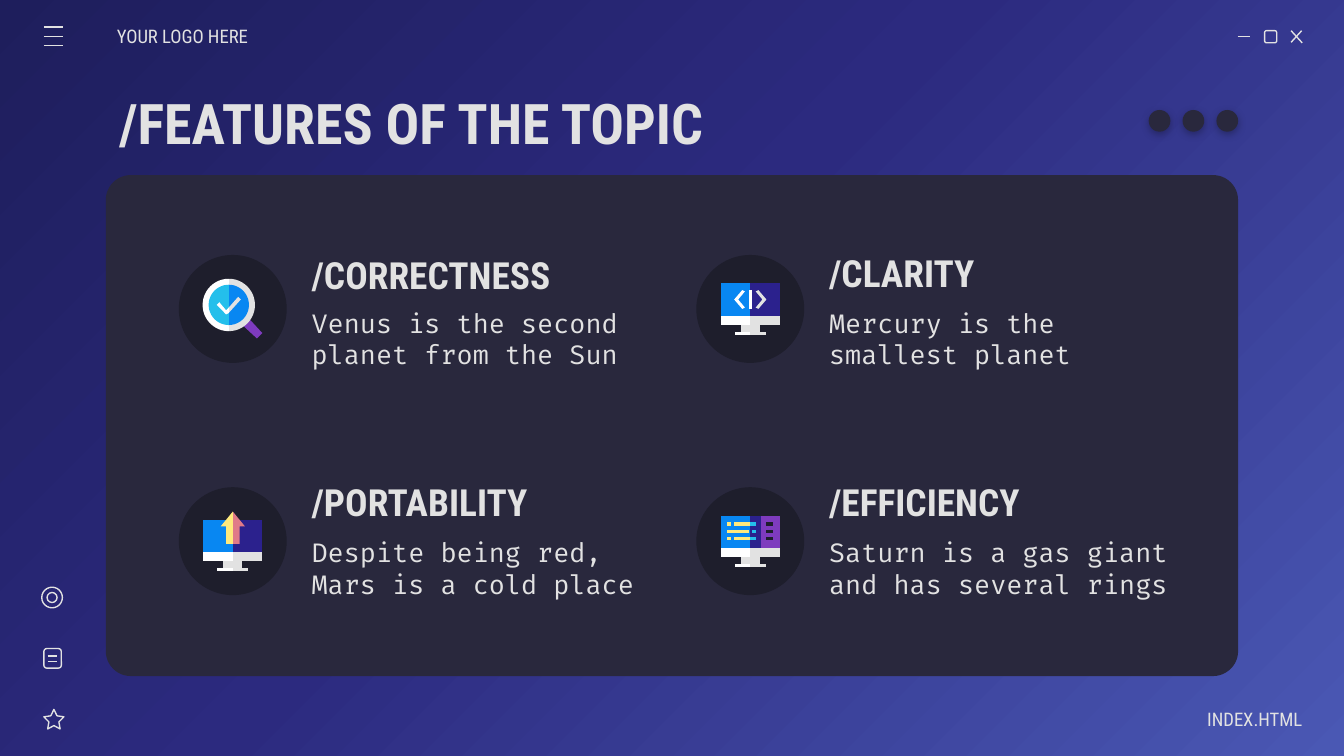
from dataclasses import dataclass
from math import cos, pi, sin

from lxml.etree import SubElement
from pptx import Presentation
from pptx.dml.color import RGBColor
from pptx.enum.shapes import MSO_CONNECTOR, MSO_SHAPE as Shp
from pptx.enum.text import MSO_ANCHOR, PP_ALIGN
from pptx.oxml.ns import qn
from pptx.util import Cm, Pt

LIGHT, WHITE, PANEL, DARK = "E2E2E2", "FFFFFF", "29283D", "1E1E2C"
BLUE, NAVY, CYAN, PURPLE = "0887F2", "2B218D", "24BFEB", "7E3BBE"
YELLOW, PINK = "FFEA7D", "E07A88"
HEAD_FONT, BODY_FONT = "Roboto Condensed", "Fira Code"
GRID = Cm(2.54) / 100  # icon grid unit
DISC = 2.04

Points = list[tuple[float, float]]


@dataclass
class Patch:
    color: str
    points: Points


@dataclass
class Feature:
    col: int
    row: int
    heading: str
    heading_top: float
    body: str
    icon: list[Patch]


def rgb(color: str) -> RGBColor:
    return RGBColor.from_string(color)


def box(x1: float, y1: float, x2: float, y2: float) -> Points:
    return [(x1, y1), (x2, y1), (x2, y2), (x1, y2)]


def mirror(points: Points) -> Points:
    return [(-x, y) for x, y in points]


def half_disc(x: float, y: float, r: float, side: int) -> Points:
    """Half of a disc: side 1 is the right half, -1 the left."""
    angles = [pi * i / 24 for i in range(25)]
    return [(x + side * r * sin(a), y - r * cos(a)) for a in angles]


def monitor(dy: float) -> list[Patch]:
    return [
        Patch(NAVY, box(0, dy - 19, 22, dy + 5)),
        Patch(BLUE, box(-22, dy - 19, 0, dy + 5)),
        Patch(LIGHT, box(-7, dy + 12, 7, dy + 18)),
        Patch(LIGHT, box(0, dy + 17, 11.5, dy + 19)),
        Patch(WHITE, box(-11.5, dy + 17, 0, dy + 19)),
        Patch(LIGHT, box(0, dy + 5, 22, dy + 12)),
        Patch(WHITE, box(-22, dy + 5, 0, dy + 12)),
    ]


def magnifier() -> list[Patch]:
    return [
        Patch(PURPLE, [(10, 5), (5, 10), (18, 22), (22, 18)]),
        Patch(LIGHT, half_disc(-3, -3, 19.5, 1)),
        Patch(WHITE, half_disc(-3, -3, 19.5, -1)),
        Patch(BLUE, half_disc(-3, -3, 15, 1)),
        Patch(CYAN, half_disc(-3, -3, 15, -1)),
        Patch(LIGHT, [(4, -9), (-3, -1), (-4, 1), (-3, 3), (6, -7)]),
        Patch(WHITE, [(-10, -5), (-12, -3), (-5, 4), (-3, 3), (-3, -1), (-5, 1)]),
    ]


def code_monitor() -> list[Patch]:
    chevron = [(-6, -14), (-12, -7), (-6, 0), (-4, -1), (-9, -7), (-4, -13)]
    return monitor(0) + [Patch(WHITE, chevron), Patch(LIGHT, mirror(chevron)),
                         Patch(WHITE, box(-1, -14, 1, 0))]


def upload_monitor() -> list[Patch]:
    arrow = [(0, -22), (9, -11), (5, -11), (5, 2), (0, 2)]
    return monitor(3) + [Patch(PINK, arrow), Patch(YELLOW, mirror(arrow))]


def list_monitor() -> list[Patch]:
    patches = monitor(0) + [Patch(PURPLE, box(8, -19, 22, 5))]
    split = [(YELLOW, -17, -14), (YELLOW, -12, 0), (CYAN, 0, 4), (DARK, 12, 17)]
    joined = [(YELLOW, -17, -1), (CYAN, 1, 4), (DARK, 12, 17)]
    for top, bars in ((-14, split), (-8.5, joined), (-3, split)):
        patches += [Patch(c, box(x1, top, x2, top + 2.5)) for c, x1, x2 in bars]
    return patches


FEATURES = [
    Feature(0, 0, "/CORRECTNESS", 4.65, "Venus is the second planet from the Sun", magnifier()),
    Feature(1, 0, "/CLARITY", 4.6, "Mercury is the smallest planet", code_monitor()),
    Feature(0, 1, "/PORTABILITY", 8.94, "Despite being red, Mars is a cold place",
            upload_monitor()),
    Feature(1, 1, "/EFFICIENCY", 8.94, "Saturn is a gas giant and has several rings",
            list_monitor()),
]


def add_preset(s, kind, x: float, y: float, w: float, h: float, fill: str = "", adj: float = 0):
    """Preset shape in cm; without a fill colour it gets a thin light outline."""
    sp = s.shapes.add_shape(kind, Cm(x), Cm(y), Cm(w), Cm(h))
    sp.shadow.inherit = False
    if adj:
        sp.adjustments[0] = adj
    if fill:
        sp.fill.solid()
        sp.fill.fore_color.rgb = rgb(fill)
        sp.line.fill.background()
    else:
        sp.fill.background()
        sp.line.color.rgb = rgb(LIGHT)
        sp.line.width = Pt(0.75)
    return sp


def add_line(s, x1: float, y1: float, x2: float, y2: float) -> None:
    cx = s.shapes.add_connector(MSO_CONNECTOR.STRAIGHT, Cm(x1), Cm(y1), Cm(x2), Cm(y2))
    cx.line.color.rgb = rgb(LIGHT)
    cx.line.width = Pt(0.75)
    SubElement(cx._element.spPr, qn("a:effectLst"))


def add_text(s, text: str, x: float, y: float, w: float, h: float, size: float,
             font: str = HEAD_FONT, bold: bool = False, align=PP_ALIGN.LEFT,
             left: float = 0.25, right: float = 0.25) -> None:
    tf = s.shapes.add_textbox(Cm(x), Cm(y), Cm(w), Cm(h)).text_frame
    tf.word_wrap = True
    tf.vertical_anchor = MSO_ANCHOR.MIDDLE
    tf.margin_left, tf.margin_right = Cm(left), Cm(right)
    tf.margin_top = tf.margin_bottom = Cm(0.25)
    tf.text = text
    p = tf.paragraphs[0]
    p.alignment = align
    f = p.runs[0].font
    f.name, f.size, f.bold = font, Pt(size), bold
    f.color.rgb = rgb(LIGHT)


def add_patch(s, patch: Patch, x: float, y: float) -> None:
    pts = [(Cm(x) + GRID * px, Cm(y) + GRID * py) for px, py in patch.points]
    fb = s.shapes.build_freeform(*pts[0])
    fb.add_line_segments(pts[1:], close=True)
    sp = fb.convert_to_shape()
    sp.shadow.inherit = False
    sp.fill.solid()
    sp.fill.fore_color.rgb = rgb(patch.color)
    sp.line.fill.background()


def add_feature(s, ft: Feature) -> None:
    x, y = 3.38 + 9.78 * ft.col, 4.82 + 4.39 * ft.row
    add_preset(s, Shp.OVAL, x, y, DISC, DISC, DARK)
    for patch in ft.icon:
        add_patch(s, patch, x + DISC / 2, y + DISC / 2)
    add_text(s, ft.heading, x + 2.26, ft.heading_top, 6.93, 1.09, 20, bold=True)
    add_text(s, ft.body, x + 2.26, 5.69 + 4.34 * ft.row, 6.93, 1.42, 14, BODY_FONT)


def add_color(parent, color: str):
    return SubElement(parent, qn("a:srgbClr"), val=color)


def set_background(s) -> None:
    s.background.fill.gradient()
    grad = s._element.find(".//" + qn("a:gradFill"))
    for child in list(grad):
        grad.remove(child)
    stops = SubElement(grad, qn("a:gsLst"))
    for pos, color in ((0, "1E1E5C"), (46, "2C2A7F"), (100, "4A58B4")):
        add_color(SubElement(stops, qn("a:gs"), pos=str(pos * 1000)), color)
    circle = SubElement(grad, qn("a:path"), path="circle")
    SubElement(circle, qn("a:fillToRect"), r="100000", b="100000")


def add_drop_shadow(sp) -> None:
    effects = sp._element.spPr.find(qn("a:effectLst"))
    shadow = SubElement(effects, qn("a:outerShdw"), blurRad=str(Pt(4.5)), dist=str(Pt(1.5)),
                        dir="5400000", algn="bl", rotWithShape="0")
    SubElement(add_color(shadow, "000000"), qn("a:alpha"), val="30000")


def add_window_frame(s) -> None:
    """Menu, window buttons and side icons."""
    for y in (0.51, 0.69, 0.86):
        add_line(s, 0.83, y, 1.2, y)
    add_line(s, 23.39, 0.69, 23.62, 0.69)
    add_preset(s, Shp.ROUNDED_RECTANGLE, 23.9, 0.58, 0.23, 0.23)
    add_line(s, 24.4, 0.58, 24.61, 0.81)
    add_line(s, 24.6, 0.58, 24.4, 0.8)
    add_preset(s, Shp.OVAL, 0.79, 11.1, 0.39, 0.39)
    add_preset(s, Shp.OVAL, 0.89, 11.2, 0.19, 0.19)
    add_preset(s, Shp.ROUNDED_RECTANGLE, 0.83, 12.26, 0.33, 0.37)
    for y in (12.4, 12.5):
        add_line(s, 0.9, y, 1.07, y)
    add_preset(s, Shp.STAR_5_POINT, 0.83, 13.41, 0.38, 0.37, adj=0.25)


def main() -> None:
    prs = Presentation()
    prs.slide_width, prs.slide_height = Cm(25.4), Cm(14.29)
    s = prs.slides.add_slide(prs.slide_layouts[6])
    set_background(s)
    add_preset(s, Shp.ROUNDED_RECTANGLE, 2, 3.31, 21.4, 9.47, PANEL, 0.05)
    add_window_frame(s)
    add_text(s, "YOUR LOGO HERE", 2.21, 0.3, 2.97, 0.76, 10, left=0)
    add_text(s, "INDEX.HTML", 21.64, 13.21, 2.97, 0.76, 10, align=PP_ALIGN.RIGHT, right=0)
    add_text(s, "/FEATURES OF THE TOPIC", 2, 1.5, 21.4, 1.6, 30, bold=True)
    for ft in FEATURES:
        add_feature(s, ft)
    for i in range(3):
        add_drop_shadow(add_preset(s, Shp.OVAL, 21.71 + 0.64 * i, 2.08, 0.41, 0.41, PANEL))
    prs.save("out.pptx")


if __name__ == "__main__":
    main()
